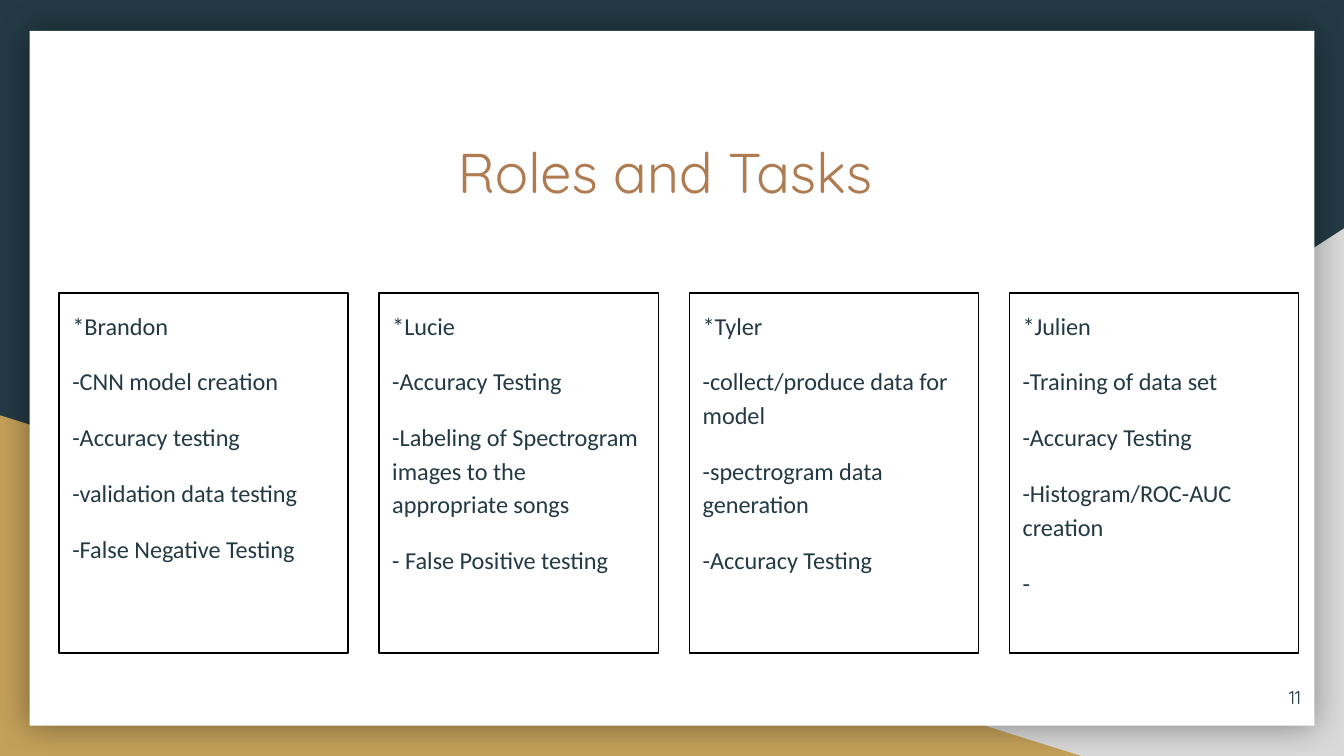
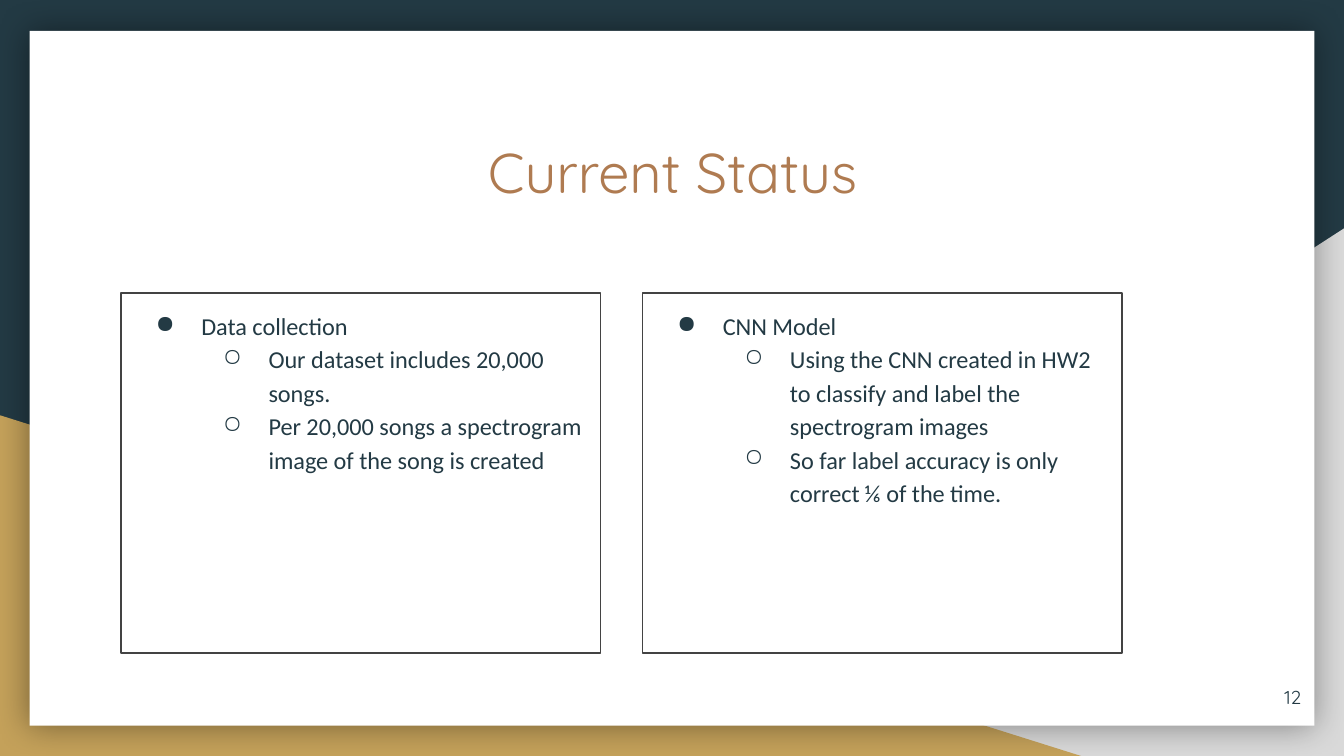
from lxml.etree import SubElement
from pptx import Presentation
from pptx.dml.color import RGBColor
from pptx.enum.shapes import MSO_SHAPE
from pptx.enum.text import MSO_ANCHOR, MSO_AUTO_SIZE, PP_ALIGN
from pptx.oxml.ns import qn
from pptx.util import Inches, Pt

NAVY = RGBColor(0x23, 0x3A, 0x44)
GOLD = RGBColor(0xC4, 0xA1, 0x5A)
SILVER = RGBColor(0xD9, 0xD9, 0xD9)
WHITE = RGBColor(0xFF, 0xFF, 0xFF)
COPPER = RGBColor(0xAF, 0x7B, 0x51)
BLACK = RGBColor(0x00, 0x00, 0x00)
CHARCOAL = RGBColor(0x43, 0x43, 0x43)

HEADING_FONT = "Quicksand"
BODY_FONT = "Calibri"
TITLE_BOX = (0.9, 0.92, 8.21, 1.04)
NUMBER_BOX = (9.18, 4.97, 0.6, 0.43)
CARD_TOP, CARD_HEIGHT = 2.18, 2.68
INSET = Inches(0.1)
BULLETS = ("●", "○")

ROLES = [
    ["*Brandon", "-CNN model creation", "-Accuracy testing",
     "-validation data testing", "-False Negative Testing"],
    ["*Lucie", "-Accuracy Testing",
     "-Labeling of Spectrogram images to the appropriate songs",
     "- False Positive testing"],
    ["*Tyler", "-collect/produce data for model",
     "-spectrogram data generation", "-Accuracy Testing"],
    ["*Julien", "-Training of data set", "-Accuracy Testing",
     "-Histogram/ROC-AUC creation", "-"],
]
STATUS = [
    ["Data collection", "Our dataset includes 20,000 songs.",
     "Per 20,000 songs a spectrogram image of the song is created"],
    ["CNN Model",
     "Using the CNN created in HW2 to classify and label the spectrogram images",
     "So far label accuracy is only correct ⅙ of the time."],
]


def inches(box):
    return [Inches(length) for length in box]


def prepare_frame(frame, anchor=MSO_ANCHOR.TOP):
    frame.word_wrap = True
    frame.auto_size = MSO_AUTO_SIZE.NONE
    frame.vertical_anchor = anchor
    frame.margin_left = frame.margin_right = INSET
    frame.margin_top = frame.margin_bottom = INSET


def style_paragraph(paragraph, size, font, color, align):
    paragraph.alignment = align
    paragraph.font.size = Pt(size)
    paragraph.font.name = font
    paragraph.font.color.rgb = color


def add_backdrop_part(slide, preset, box, color):
    part = slide.shapes.add_shape(preset, *inches(box))
    part.shadow.inherit = False
    part.fill.solid()
    part.fill.fore_color.rgb = color
    part.line.fill.background()
    return part


def add_soft_shadow(panel):
    effects = panel._element.spPr.find(qn("a:effectLst"))
    shadow = SubElement(effects, qn("a:outerShdw"), blurRad=str(Pt(18)),
                        dist="0", dir="0", algn="ctr", rotWithShape="0")
    color = SubElement(shadow, qn("a:srgbClr"), val=str(BLACK))
    SubElement(color, qn("a:alpha"), val="40000")


def build_backdrop(layout, slide):
    layout.background.fill.solid()
    layout.background.fill.fore_color.rgb = NAVY
    for placeholder in list(layout.placeholders)[1:]:
        layout.shapes._spTree.remove(placeholder._element)
    right_wedge = add_backdrop_part(
        slide, MSO_SHAPE.RIGHT_TRIANGLE, (3.92, 1.7, 6.08, 3.93), SILVER)
    right_wedge._element.spPr.xfrm.set("flipH", "1")
    left_wedge = add_backdrop_part(
        slide, MSO_SHAPE.RIGHT_TRIANGLE, (0, 3.09, 8.06, 2.54), GOLD)
    panel = add_backdrop_part(
        slide, MSO_SHAPE.RECTANGLE, (0.22, 0.23, 9.56, 5.17), WHITE)
    add_soft_shadow(panel)
    for part in (right_wedge, left_wedge, panel):
        layout.shapes._spTree.append(part._element)


def set_title(slide, text, box):
    title = slide.shapes.title
    title.left, title.top, title.width, title.height = inches(box)
    prepare_frame(title.text_frame)
    title.text_frame.text = text
    style_paragraph(title.text_frame.paragraphs[0], 30, HEADING_FONT, COPPER,
                    PP_ALIGN.CENTER)


def add_page_number(slide, number, box):
    frame = slide.shapes.add_textbox(*inches(box)).text_frame
    prepare_frame(frame, MSO_ANCHOR.MIDDLE)
    frame.text = str(number)
    style_paragraph(frame.paragraphs[0], 10, HEADING_FONT, NAVY, PP_ALIGN.RIGHT)


def space_role(paragraph, position, count):
    paragraph.space_before = Pt(12 if position else 0)
    paragraph.space_after = Pt(12 if position == count - 1 else 0)


def bullet_status(paragraph, position, count):
    paragraph.level = min(position, 1)
    properties = paragraph._p.get_or_add_pPr()
    properties.set("marL", str(Inches(0.5 * (paragraph.level + 1))))
    properties.set("indent", str(Inches(-0.34)))
    color = SubElement(properties, qn("a:buClr"))
    SubElement(color, qn("a:srgbClr"), val=str(NAVY))
    SubElement(properties, qn("a:buChar"), char=BULLETS[paragraph.level])


def add_card(slide, lines, box, outline, arrange):
    card = slide.shapes.add_shape(MSO_SHAPE.RECTANGLE, *inches(box))
    card.shadow.inherit = False
    card.fill.background()
    card.line.color.rgb = outline
    card.line.width = Pt(0.75)
    frame = card.text_frame
    prepare_frame(frame)
    frame.text = "\n".join(lines)
    for position, paragraph in enumerate(frame.paragraphs):
        paragraph.line_spacing = 1.15
        arrange(paragraph, position, len(lines))
        style_paragraph(paragraph, 13, BODY_FONT, NAVY, PP_ALIGN.LEFT)


def add_card_row(slide, cards, left, widths, gap, outline, arrange):
    for lines, width in zip(cards, widths):
        add_card(slide, lines, (left, CARD_TOP, width, CARD_HEIGHT),
                 outline, arrange)
        left += width + gap


def main():
    deck = Presentation()
    deck.slide_width = Inches(10)
    deck.slide_height = deck.slide_width * 9 // 16
    layout = deck.slide_layouts[5]
    roles = deck.slides.add_slide(layout)
    status = deck.slides.add_slide(layout)
    build_backdrop(layout, roles)

    set_title(roles, "Roles and Tasks ", TITLE_BOX)
    add_card_row(roles, ROLES, 0.44, (2.15, 2.08, 2.15, 2.15), 0.23, BLACK,
                 space_role)
    set_title(status, "Current Status", TITLE_BOX)
    add_card_row(status, STATUS, 0.9, (3.57, 3.57), 0.31, CHARCOAL,
                 bullet_status)
    for number, slide in enumerate((roles, status), start=11):
        add_page_number(slide, number, NUMBER_BOX)

    deck.save("out.pptx")


if __name__ == "__main__":
    main()
